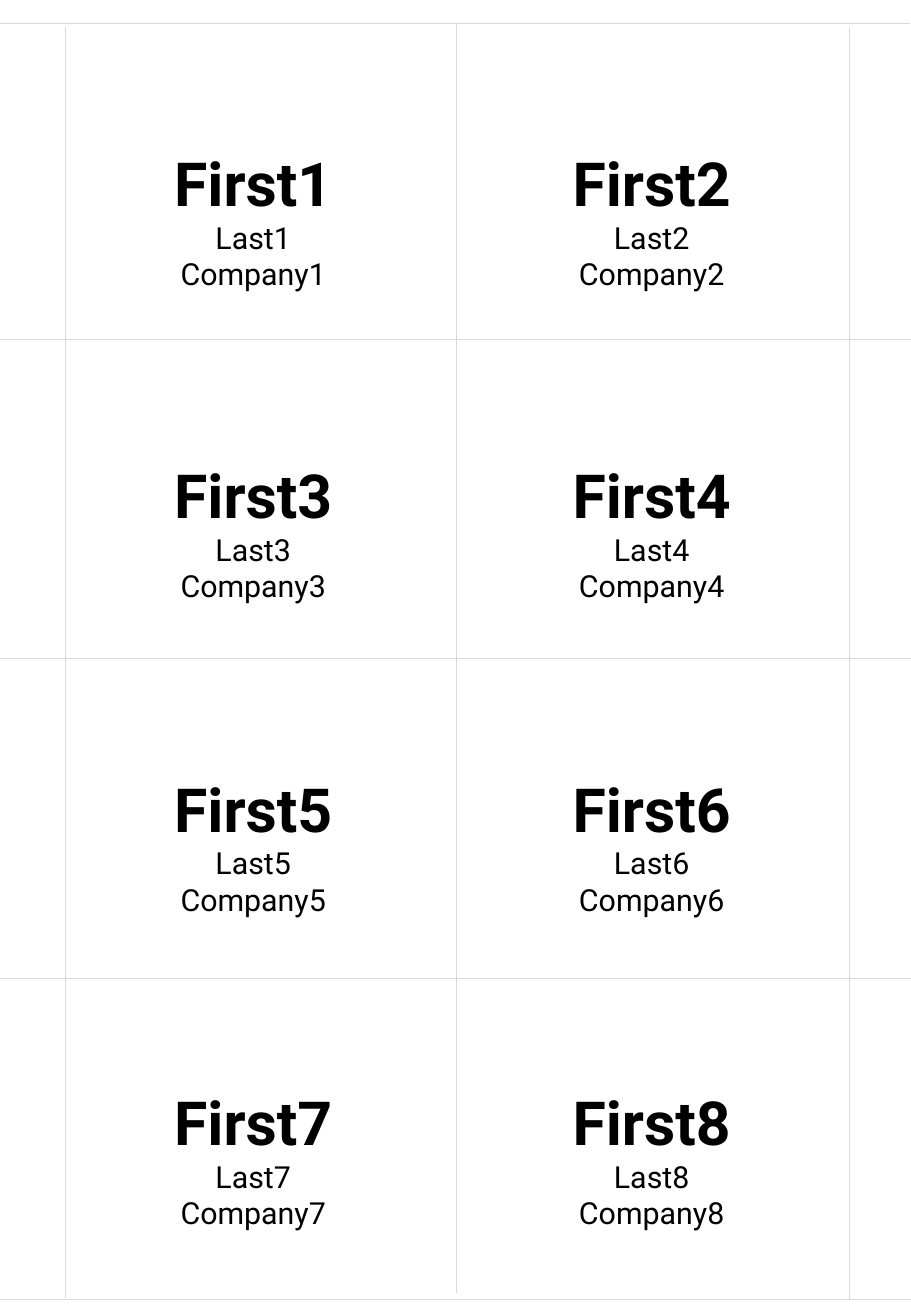
from dataclasses import dataclass

from lxml import etree
from pptx import Presentation
from pptx import util as u
from pptx.dml.color import RGBColor
from pptx.enum import shapes, text
from pptx.oxml import ns
from pptx.slide import Slide

PX = u.Inches(1) // 100
PAGE_WIDTH, PAGE_HEIGHT = 750, 1083
BLACK = RGBColor(0x00, 0x00, 0x00)
CUT_GREY = RGBColor(0xD9, 0xD9, 0xD9)
BADGE_WIDTH, BADGE_HEIGHT = 315, 131
BADGE_LEFTS = (51, 379)
BADGE_TOPS = (115, 372, 630, 888)
CUT_SPAN = 778
FIRST_STYLE = {"name": "Roboto", "size": u.Pt(36), "bold": True}
DETAIL_STYLE = {"name": "Roboto", "size": u.Pt(18), "bold": False}


@dataclass(frozen=True)
class Badge:
    number: int
    left: int
    top: int


@dataclass(frozen=True)
class CutLine:
    x1: int
    y1: int
    x2: int
    y2: int


BADGES = [
    Badge(row * len(BADGE_LEFTS) + column + 1, left, top)
    for row, top in enumerate(BADGE_TOPS)
    for column, left in enumerate(BADGE_LEFTS)
]
CUT_LINES = [
    CutLine(x, top, x, bottom)
    for x, top, bottom in ((54, 22, 1068), (376, 19, 1064), (699, 23, 1069))
] + [
    CutLine(right, y, right - CUT_SPAN, y)
    for right, y in ((749, 19), (775, 279), (760, 542), (750, 805), (759, 1069))
]


def draw_badge(slide: Slide, badge: Badge) -> None:
    box = slide.shapes.add_textbox(
        badge.left * PX, badge.top * PX, BADGE_WIDTH * PX, BADGE_HEIGHT * PX
    )
    frame = box.text_frame
    frame.word_wrap = True
    frame.auto_size = text.MSO_AUTO_SIZE.SHAPE_TO_FIT_TEXT
    labels = {"First": FIRST_STYLE, "Last": DETAIL_STYLE, "Company": DETAIL_STYLE}
    frame.text = "\n".join(f"{label}{badge.number}" for label in labels)
    for paragraph, style in zip(frame.paragraphs, labels.values()):
        paragraph.alignment = text.PP_ALIGN.CENTER
        font = paragraph.runs[0].font
        font.color.rgb = BLACK
        for attribute, value in style.items():
            setattr(font, attribute, value)


def draw_cut_line(slide: Slide, cut: CutLine) -> None:
    connector = slide.shapes.add_connector(
        shapes.MSO_CONNECTOR.STRAIGHT,
        cut.x1 * PX, cut.y1 * PX, cut.x2 * PX, cut.y2 * PX,
    )
    connector.line.color.rgb = CUT_GREY
    connector.line.width = u.Pt(0.5)
    etree.SubElement(connector._element.spPr, ns.qn("a:effectLst"))


def main() -> None:
    deck = Presentation()
    deck.slide_width = PAGE_WIDTH * PX
    deck.slide_height = PAGE_HEIGHT * PX
    slide = deck.slides.add_slide(deck.slide_layouts[6])
    for cut in CUT_LINES:
        draw_cut_line(slide, cut)
    for badge in BADGES:
        draw_badge(slide, badge)
    deck.save("out.pptx")


if __name__ == "__main__":
    main()
